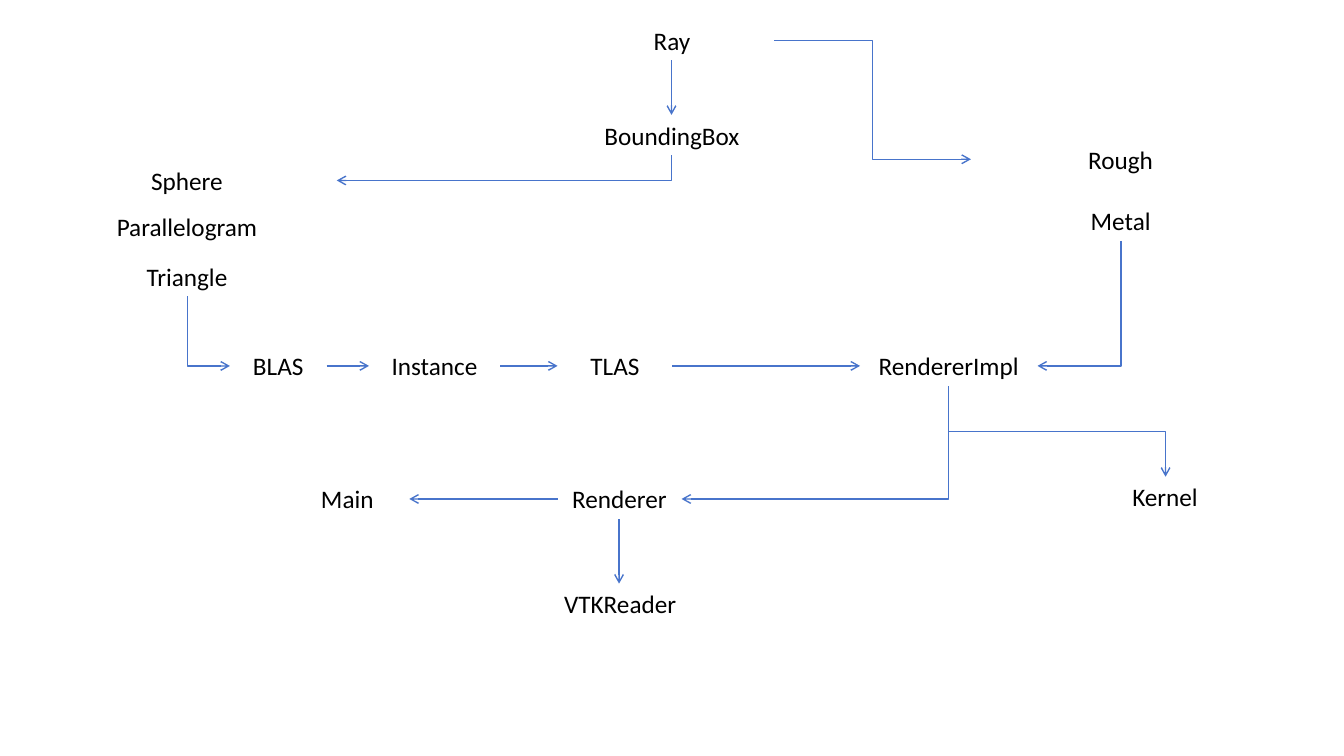
from dataclasses import dataclass
from enum import Enum

from lxml import etree
from pptx import Presentation
from pptx import util as u
from pptx.dml import color
from pptx.enum import shapes, text
from pptx.oxml import ns

PX = 9144  # EMU per px, 100 px to the inch
LABEL_HEIGHT = 40


@dataclass(frozen=True)
class Theme:
    font: str = "Calibri"
    size: int = 18
    ink: str = "000000"
    arrow: str = "4874CB"
    arrow_width: int = 1


THEME = Theme()


class Side(Enum):
    """Place of an anchor, as fractions of a label's width and height."""
    TOP = (0.5, 0)
    BOTTOM = (0.5, 1)
    LEFT = (0, 0.5)
    RIGHT = (1, 0.5)


class Route(Enum):
    STRAIGHT = "line"
    CORNER = "bentConnector2"
    STEP = "bentConnector3"


@dataclass(frozen=True)
class Label:
    name: str
    left: int
    top: int
    width: int

    def anchor(self, side: Side) -> tuple[int, int]:
        across, down = side.value
        return (round(self.left + self.width * across),
                round(self.top + LABEL_HEIGHT * down))


@dataclass(frozen=True)
class Arrow:
    source: str
    leaves: Side
    target: str
    enters: Side
    route: Route = Route.STRAIGHT


LABELS = [
    Label("Ray", 565, 20, 203),
    Label("BoundingBox", 518, 114, 297),
    Label("Sphere", 37, 159, 297),
    Label("Parallelogram", 37, 205, 297),
    Label("Triangle", 37, 254, 297),
    Label("Rough", 963, 138, 297),
    Label("Metal", 963, 199, 297),
    Label("BLAS", 228, 343, 96),
    Label("Instance", 366, 343, 130),
    Label("TLAS", 553, 343, 114),
    Label("RendererImpl", 853, 343, 176),
    Label("Main", 283, 475, 123),
    Label("Renderer", 553, 475, 123),
    Label("Kernel", 1085, 473, 141),
    Label("VTKReader", 529, 579, 172),
]

ARROWS = [
    Arrow("Ray", Side.BOTTOM, "BoundingBox", Side.TOP),
    Arrow("Ray", Side.RIGHT, "Rough", Side.LEFT, Route.STEP),
    Arrow("BoundingBox", Side.BOTTOM, "Sphere", Side.RIGHT, Route.CORNER),
    Arrow("Triangle", Side.BOTTOM, "BLAS", Side.LEFT, Route.CORNER),
    Arrow("BLAS", Side.RIGHT, "Instance", Side.LEFT),
    Arrow("Instance", Side.RIGHT, "TLAS", Side.LEFT),
    Arrow("TLAS", Side.RIGHT, "RendererImpl", Side.LEFT),
    Arrow("Metal", Side.BOTTOM, "RendererImpl", Side.RIGHT, Route.CORNER),
    Arrow("RendererImpl", Side.BOTTOM, "Kernel", Side.TOP, Route.STEP),
    Arrow("RendererImpl", Side.BOTTOM, "Renderer", Side.RIGHT, Route.CORNER),
    Arrow("Renderer", Side.LEFT, "Main", Side.RIGHT),
    Arrow("Renderer", Side.BOTTOM, "VTKReader", Side.TOP),
]


def write(frame, words: str, *, font: str = THEME.font, size: int = THEME.size,
          ink: str = THEME.ink, align=text.PP_ALIGN.CENTER) -> None:
    paragraph = frame.paragraphs[0]
    paragraph.alignment = align
    run = paragraph.add_run()
    run.text = words
    run.font.name = font
    run.font.size = u.Pt(size)
    run.font.color.rgb = color.RGBColor.from_string(ink)


def draw_label(slide, label: Label) -> None:
    box = slide.shapes.add_textbox(label.left * PX, label.top * PX,
                                   label.width * PX, LABEL_HEIGHT * PX)
    box.text_frame.word_wrap = True
    box.text_frame.auto_size = text.MSO_AUTO_SIZE.SHAPE_TO_FIT_TEXT
    write(box.text_frame, label.name)


def style_arrow(connector) -> None:
    connector.line.color.rgb = color.RGBColor.from_string(THEME.arrow)
    connector.line.width = u.Pt(THEME.arrow_width)
    etree.SubElement(connector.line._get_or_add_ln(), ns.qn("a:tailEnd"), type="arrow")
    etree.SubElement(connector._element.spPr, ns.qn("a:effectLst"))


def draw_arrow(slide, arrow: Arrow, labels: dict[str, Label]) -> None:
    """Draw an arrow; a bent one that leaves downwards is a turned connector."""
    x1, y1 = (v * PX for v in labels[arrow.source].anchor(arrow.leaves))
    x2, y2 = (v * PX for v in labels[arrow.target].anchor(arrow.enters))
    downwards = arrow.leaves is Side.BOTTOM
    if arrow.route is Route.STRAIGHT:
        x2, y2 = (x1, y2) if downwards else (x2, y1)
        connector = slide.shapes.add_connector(
            shapes.MSO_CONNECTOR.STRAIGHT, x1, y1, x2, y2)
    else:
        rightwards = x2 > x1
        turned = downwards
        if turned:
            middle_x, middle_y = (x1 + x2) // 2, (y1 + y2) // 2
            half_x, half_y = (y2 - y1) // 2, abs(x2 - x1) // 2
            if rightwards:
                half_x = -half_x  # mirrors the connector
            x1, x2 = middle_x - half_x, middle_x + half_x
            y1, y2 = middle_y - half_y, middle_y + half_y
        connector = slide.shapes.add_connector(
            shapes.MSO_CONNECTOR.ELBOW, x1, y1, x2, y2)
        properties = connector._element.spPr
        properties.find(ns.qn("a:prstGeom")).set("prst", arrow.route.value)
        if turned:
            degrees = 270 if rightwards else 90
            properties.find(ns.qn("a:xfrm")).set("rot", str(degrees * 60000))
    style_arrow(connector)


def main() -> None:
    presentation = Presentation()
    presentation.slide_width = u.Emu(1333 * PX)
    presentation.slide_height = u.Emu(750 * PX)
    slide = presentation.slides.add_slide(presentation.slide_layouts[6])
    for label in LABELS:
        draw_label(slide, label)
    labels = {label.name: label for label in LABELS}
    for arrow in ARROWS:
        draw_arrow(slide, arrow, labels)
    presentation.save("out.pptx")


if __name__ == "__main__":
    main()
